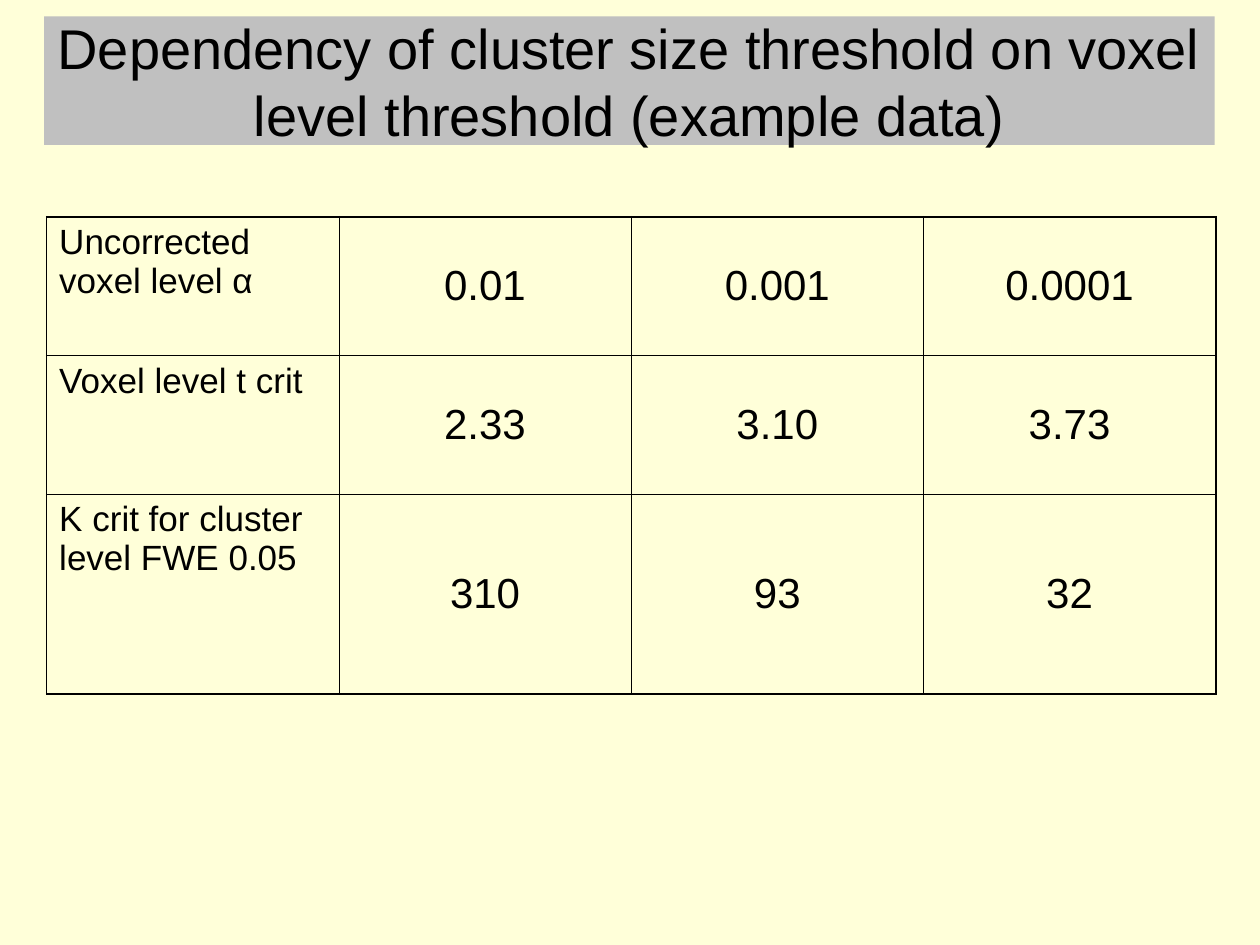
import lxml.etree
import pptx
import pptx.dml.color
import pptx.enum.text
import pptx.oxml.ns
import pptx.util

Inches = pptx.util.Inches
Pt = pptx.util.Pt
PP_ALIGN = pptx.enum.text.PP_ALIGN
MSO_ANCHOR = pptx.enum.text.MSO_ANCHOR

BLACK = "000000"
THIN, THICK = 0.45, 1.08
COL_WIDTH = 2.32
ROW_HEIGHTS = [1.1, 1.1, 1.59]
ROWS = [
    ["Uncorrected voxel level α", "0.01", "0.001", "0.0001"],
    ["Voxel level t crit", "2.33", "3.10", "3.73"],
    ["K crit for cluster level FWE 0.05", "310", "93", "32"],
]


def set_fill(fill, color):
    """Give a fill one solid hex colour."""
    fill.solid()
    fill.fore_color.rgb = pptx.dml.color.RGBColor.from_string(color)


def set_text(tf, text, size, align):
    """Write one paragraph of black Arial text."""
    tf.word_wrap = True
    tf.text = text
    p = tf.paragraphs[0]
    p.alignment = align
    r = p.runs[0]
    r.font.name = "Arial"
    r.font.size = Pt(size)
    set_fill(r.font.fill, BLACK)


def set_borders(cell, widths):
    """Draw the cell borders from a mapping of side to width in points."""
    tc_pr = cell._tc.get_or_add_tcPr()
    qn = pptx.oxml.ns.qn
    for i, (side, width) in enumerate(widths.items()):
        ln = lxml.etree.Element(qn(f"a:ln{side}"), w=str(Pt(width)))
        fill = lxml.etree.SubElement(ln, qn("a:solidFill"))
        lxml.etree.SubElement(fill, qn("a:srgbClr"), val=BLACK)
        tc_pr.insert(i, ln)


def add_title(s, text):
    """Add the grey title bar."""
    sp = s.shapes.add_textbox(Inches(0.35), Inches(0.13), Inches(9.29), Inches(1.02))
    set_fill(sp.fill, "C0C0C0")
    sp.text_frame.vertical_anchor = MSO_ANCHOR.MIDDLE
    set_text(sp.text_frame, text, 32, PP_ALIGN.CENTER)


def add_threshold_table(s):
    """Add the table of thresholds with a heavier outer frame."""
    n_rows, n_cols = len(ROWS), len(ROWS[0])
    table = s.shapes.add_table(
        n_rows, n_cols, Inches(0.37), Inches(1.72),
        Inches(COL_WIDTH * n_cols), Inches(sum(ROW_HEIGHTS)),
    ).table
    table.first_row = table.horz_banding = False
    for col in table.columns:
        col.width = Inches(COL_WIDTH)
    for i, (height, values) in enumerate(zip(ROW_HEIGHTS, ROWS)):
        table.rows[i].height = Inches(height)
        for j, value in enumerate(values):
            cell = table.cell(i, j)
            cell.fill.background()
            if j == 0:
                cell.vertical_anchor = MSO_ANCHOR.TOP
                set_text(cell.text_frame, value, 20, PP_ALIGN.LEFT)
            else:
                cell.vertical_anchor = MSO_ANCHOR.MIDDLE
                set_text(cell.text_frame, value, 24, PP_ALIGN.CENTER)
            set_borders(cell, {
                "L": THICK if j == 0 else THIN,
                "R": THICK if j == n_cols - 1 else THIN,
                "T": THICK if i == 0 else THIN,
                "B": THICK if i == n_rows - 1 else THIN,
            })


def main():
    """Build and save the slide."""
    prs = pptx.Presentation()
    prs.slide_width, prs.slide_height = Inches(10), Inches(7.5)
    s = prs.slides.add_slide(prs.slide_layouts[6])
    set_fill(s.background.fill, "FFFFD9")
    add_title(s, "Dependency of cluster size threshold on voxel level threshold (example data)")
    add_threshold_table(s)
    prs.save("out.pptx")


if __name__ == "__main__":
    main()
